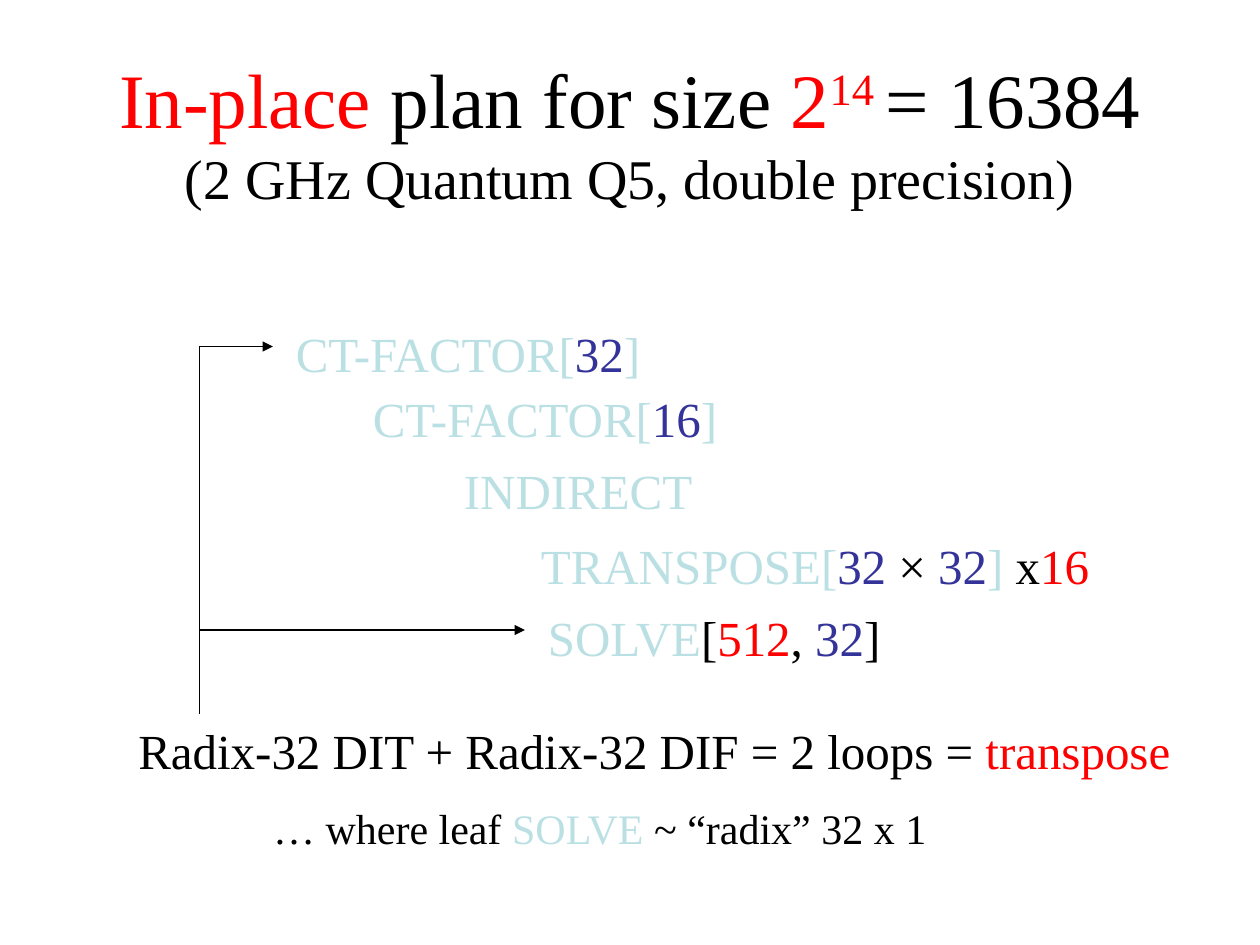
"""Build the slide on the in-place plan for size 2^14."""
import pptx
import pptx.dml.color
import pptx.enum.shapes
import pptx.enum.text
import pptx.oxml
import pptx.oxml.ns
import pptx.util

Pt = pptx.util.Pt
RGBColor = pptx.dml.color.RGBColor
BLACK = RGBColor(0x00, 0x00, 0x00)
RED = RGBColor(0xFF, 0x00, 0x00)
PALE = RGBColor(0xBB, 0xE0, 0xE3)
BLUE = RGBColor(0x33, 0x33, 0x99)


class PlanSlide:
    """Holds the style and the current slide."""

    font_name = "Times New Roman"
    line_width = Pt(0.75)

    def __init__(self, presentation):
        self.slide = presentation.slides.add_slide(presentation.slide_layouts[6])

    def add_run(self, paragraph, text, color, size, baseline=0):
        run = paragraph.add_run()
        run.text = text
        run.font.name = self.font_name
        run.font.size = Pt(size)
        run.font.color.rgb = color
        if baseline:
            run._r.get_or_add_rPr().set("baseline", str(baseline * 1000))

    def add_box(self, left, top, width, height):
        shape = self.slide.shapes.add_textbox(Pt(left), Pt(top), Pt(width), Pt(height))
        return shape.text_frame

    def add_title(self, left, top, width, height, headline, subtitle):
        frame = self.add_box(left, top, width, height)
        frame.word_wrap = True
        frame.vertical_anchor = pptx.enum.text.MSO_ANCHOR.MIDDLE
        paragraph = frame.paragraphs[0]
        paragraph.alignment = pptx.enum.text.PP_ALIGN.CENTER
        for text, color, baseline in headline:
            self.add_run(paragraph, text, color, 44, baseline)
        paragraph.add_line_break()
        self.add_run(paragraph, subtitle, BLACK, 32)

    def add_label(self, left, top, width, runs, size=28, height=41):
        frame = self.add_box(left, top, width, height)
        frame.word_wrap = False
        frame.auto_size = pptx.enum.text.MSO_AUTO_SIZE.SHAPE_TO_FIT_TEXT
        for text, color in runs:
            self.add_run(frame.paragraphs[0], text, color, size)

    def add_line(self, start_x, start_y, end_x, end_y, arrow=False):
        connector = self.slide.shapes.add_connector(
            pptx.enum.shapes.MSO_CONNECTOR.STRAIGHT,
            Pt(start_x), Pt(start_y), Pt(end_x), Pt(end_y))
        connector.line.color.rgb = BLACK
        connector.line.width = self.line_width
        if arrow:
            line = connector.line._get_or_add_ln()
            head = pptx.oxml.parse_xml(
                f'<a:headEnd {pptx.oxml.ns.nsdecls("a")} type="triangle"/>')
            line.append(head)
        connector._element.spPr.append(
            pptx.oxml.parse_xml(f'<a:effectLst {pptx.oxml.ns.nsdecls("a")}/>'))


def main():
    presentation = pptx.Presentation()
    presentation.slide_width = Pt(720)
    presentation.slide_height = Pt(540)
    plan = PlanSlide(presentation)

    plan.add_title(
        54, 30, 612, 90,
        [("In-place", RED, 0), (" plan for size ", BLACK, 0), ("2", RED, 0),
         ("14 ", RED, 30), ("= 16384", BLACK, 0)],
        "(2 GHz Quantum Q5, double precision)")

    for left, top, radix in ((162, 181.5, "32"), (206, 218.5, "16")):
        plan.add_label(left, top, 216.5,
                       [("CT-FACTOR[", PALE), (radix, BLUE), ("]", PALE)])
    plan.add_label(258, 259.5, 145.5, [("INDIRECT", PALE)])
    plan.add_label(306, 343.5, 207.5,
                   [("SOLVE", PALE), ("[", BLACK), ("512", RED), (", ", BLACK),
                    ("32", BLUE), ("]", BLACK)])
    plan.add_label(302, 302.5, 327.5,
                   [("TRANSPOSE[", PALE), ("32 ", BLUE), ("×", BLACK), (" 32", BLUE),
                    ("] ", PALE), ("x", BLACK), ("16", RED)])

    trunk = 114
    plan.add_line(156, 198, trunk, 198, arrow=True)
    plan.add_line(trunk, 198, trunk, 408)
    plan.add_line(300, 360, trunk, 360, arrow=True)

    plan.add_label(72, 408, 605.5,
                   [("Radix-32 DIT + Radix-32 DIF = 2 loops = ", BLACK),
                    ("transpose", RED)])
    plan.add_label(149, 455, 390,
                   [("… where leaf ", BLACK), ("SOLVE", PALE),
                    (" ~ “radix” 32 x 1", BLACK)], size=24, height=36)

    presentation.save("out.pptx")


if __name__ == "__main__":
    main()
